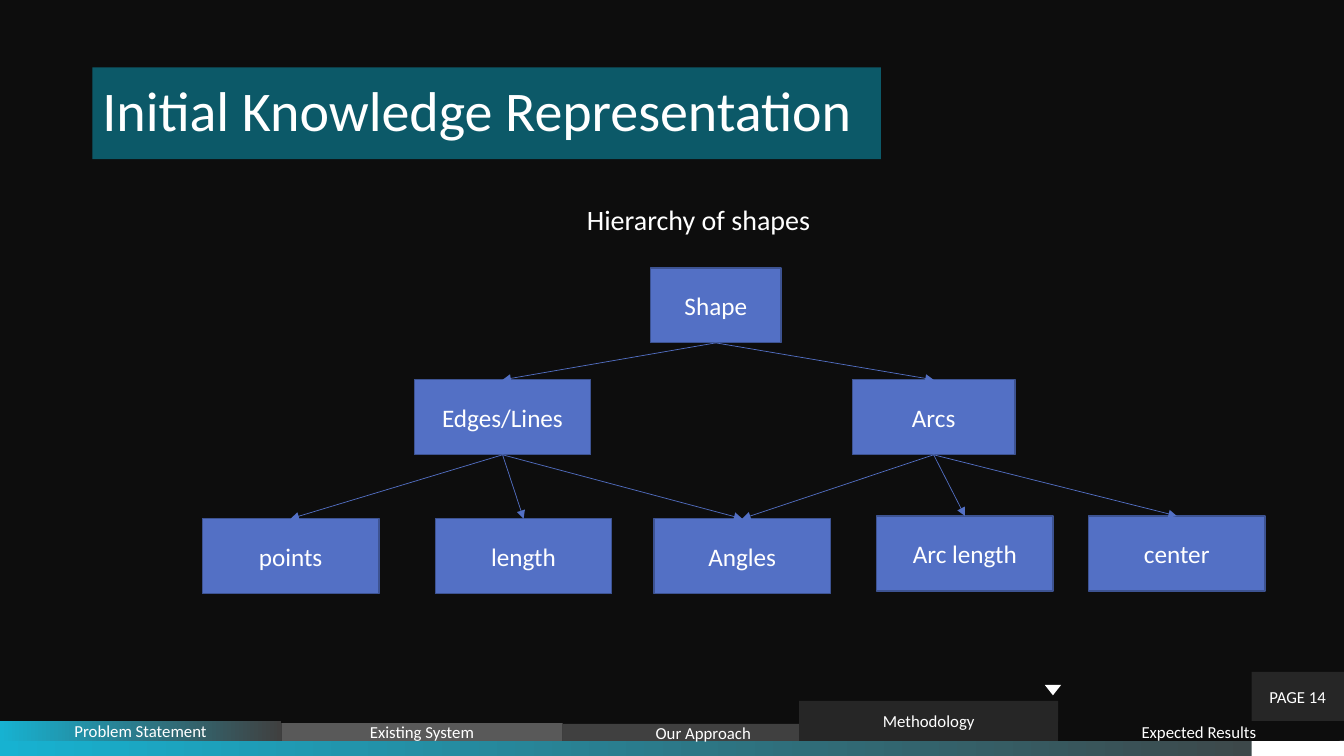
from pptx import Presentation
from pptx.dml.color import RGBColor
from pptx.enum.shapes import MSO_CONNECTOR, MSO_SHAPE
from pptx.enum.text import MSO_ANCHOR, PP_ALIGN
from pptx.oxml.ns import qn
from pptx.util import Cm, Pt
from lxml import etree

RECTANGLE, TRIANGLE = MSO_SHAPE.RECTANGLE, MSO_SHAPE.ISOSCELES_TRIANGLE
STRAIGHT = MSO_CONNECTOR.STRAIGHT
MIDDLE = MSO_ANCHOR.MIDDLE
LEFT, CENTER = PP_ALIGN.LEFT, PP_ALIGN.CENTER

BLACK = RGBColor(0x0D, 0x0D, 0x0D)
CHARCOAL = RGBColor(0x26, 0x26, 0x26)
DARK_GRAY = RGBColor(0x40, 0x40, 0x40)
GRAY = RGBColor(0x59, 0x59, 0x59)
WHITE = RGBColor(0xFF, 0xFF, 0xFF)
TEAL = RGBColor(0x0C, 0x59, 0x68)
CYAN = RGBColor(0x17, 0xB2, 0xD1)
BLUE = RGBColor(0x53, 0x70, 0xC5)
NAVY = RGBColor(0x3D, 0x53, 0x92)
FADE = (CYAN, DARK_GRAY)
FONT = "Calibri"

# All lengths are in centimetres.
SLIDE_WIDTH, SLIDE_HEIGHT = 33.87, 19.05
TITLE = "Initial Knowledge Representation"
SUBTITLE = "Hierarchy of shapes"
NODE_HEIGHT = 1.89
NODES = {  # name: (left, top, width)
    "Shape": (16.4, 6.75, 3.28),
    "Edges/Lines": (10.44, 9.57, 4.45),
    "Arcs": (21.48, 9.57, 4.1),
    "points": (5.1, 13.07, 4.45),
    "length": (10.97, 13.07, 4.45),
    "Angles": (16.48, 13.07, 4.45),
    "Arc length": (22.09, 13, 4.45),
    "center": (27.43, 13, 4.45),
}
CHILDREN = {
    "Shape": ["Edges/Lines", "Arcs"],
    "Edges/Lines": ["points", "length", "Angles"],
    "Arcs": ["Angles", "Arc length", "center"],
}
STRIP_TOP, STRIP_HEIGHT = 18.67, 0.38
TAB_WIDTH = 7.09
CURRENT_LEFT, CURRENT_WIDTH = 20.14, 6.53
CURRENT_RIGHT = CURRENT_LEFT + CURRENT_WIDTH
TABS = [  # name, left, top, width, fill
    ("Problem Statement", 0, 18.17, TAB_WIDTH, FADE),
    ("Existing System", TAB_WIDTH, 18.22, TAB_WIDTH, GRAY),
    ("Our Approach", 2 * TAB_WIDTH, 18.24, TAB_WIDTH, DARK_GRAY),
    ("Methodology", CURRENT_LEFT, 17.66, CURRENT_WIDTH, CHARCOAL),
    ("Expected Results", CURRENT_RIGHT, 18.19, TAB_WIDTH, BLACK),
]
PAGE_WIDTH = 2.33
PAGE_LEFT = SLIDE_WIDTH - PAGE_WIDTH


def place(shape, left, top, width, height):
    """Move and size a shape, in centimetres."""
    shape.left, shape.top = Cm(left), Cm(top)
    shape.width, shape.height = Cm(width), Cm(height)


def write(shape, text, size, align=CENTER):
    """Put one white paragraph in a shape and return the paragraph."""
    shape.text_frame.word_wrap = True
    para = shape.text_frame.paragraphs[0]
    para.text, para.alignment = text, align
    para.font.name, para.font.size = FONT, Pt(size)
    para.font.color.rgb = WHITE
    return para


def add_box(slide, area, fill, text="", size=12, outline=None, kind=RECTANGLE):
    """Add a shape with a solid fill, or a gradient for a colour pair."""
    box = slide.shapes.add_shape(kind, *map(Cm, area))
    box.shadow.inherit = False
    if isinstance(fill, RGBColor):
        box.fill.solid()
        box.fill.fore_color.rgb = fill
    else:
        box.fill.gradient()
        box.fill.gradient_angle = 0
        for stop, color, position in zip(box.fill.gradient_stops, fill, (0, 1)):
            stop.color.rgb, stop.position = color, position
    if outline is None:
        box.line.fill.background()
    else:
        box.line.color.rgb, box.line.width = outline, Pt(1)
    if text:
        box.text_frame.vertical_anchor = MIDDLE
        write(box, text, size)
    return box


def add_arrow(slide, parent, child):
    """Connect the bottom of a parent box to the top of a child box."""
    arrow = slide.shapes.add_connector(STRAIGHT, 0, 0, 0, 0)
    arrow.begin_connect(parent, 2)
    arrow.end_connect(child, 0)
    arrow.line.color.rgb, arrow.line.width = BLUE, Pt(0.5)
    etree.SubElement(arrow.line._get_or_add_ln(), qn("a:tailEnd"), type="triangle")
    etree.SubElement(arrow._element.spPr, qn("a:effectLst"))


def add_heading(slide):
    """Fill the title and body placeholders."""
    title, body = slide.placeholders[0], slide.placeholders[1]
    place(title, 2.33, 1.7, 19.87, 2.31)
    title.fill.solid()
    title.fill.fore_color.rgb = TEAL
    frame = title.text_frame
    frame.vertical_anchor = MIDDLE
    frame.margin_left = frame.margin_right = Cm(0.25)
    frame.margin_top = frame.margin_bottom = Cm(0.3)
    write(title, TITLE, 40, LEFT).line_spacing = 0.9

    place(body, 2.33, 5.08, 30.55, 12.09)
    para = write(body, SUBTITLE, 20)
    para.line_spacing, para.space_before = 0.9, Pt(10)
    properties = para._p.get_or_add_pPr()
    properties.set("marL", "0")
    properties.set("indent", "0")
    properties.insert_element_before(
        properties.makeelement(qn("a:buNone")), "a:tabLst", "a:defRPr", "a:extLst")


def add_hierarchy(slide):
    """Draw the tree of shapes with its arrows."""
    boxes = {name: add_box(slide, (*spot, NODE_HEIGHT), BLUE, name, 18, NAVY)
             for name, spot in NODES.items()}
    for parent, children in CHILDREN.items():
        for child in children:
            add_arrow(slide, boxes[parent], boxes[child])


def add_navigation(slide):
    """Draw the bottom strip, page number, section tabs and marker."""
    add_box(slide, (0, STRIP_TOP, SLIDE_WIDTH, STRIP_HEIGHT), FADE)
    add_box(slide, (PAGE_LEFT, STRIP_TOP, PAGE_WIDTH, STRIP_HEIGHT), WHITE)
    add_box(slide, (PAGE_LEFT, 16.93, PAGE_WIDTH, 1.24), CHARCOAL, "PAGE 14")
    for name, left, top, width, fill in TABS:
        add_box(slide, (left, top, width, STRIP_TOP - top), fill, name)
    marker = add_box(slide, (26.33, 17.26, 0.41, 0.26), WHITE, kind=TRIANGLE)
    marker.rotation = 180


deck = Presentation()
deck.slide_width, deck.slide_height = Cm(SLIDE_WIDTH), Cm(SLIDE_HEIGHT)
slide = deck.slides.add_slide(deck.slide_layouts[1])
slide.background.fill.solid()
slide.background.fill.fore_color.rgb = BLACK
add_heading(slide)
add_hierarchy(slide)
add_navigation(slide)
deck.save("out.pptx")
